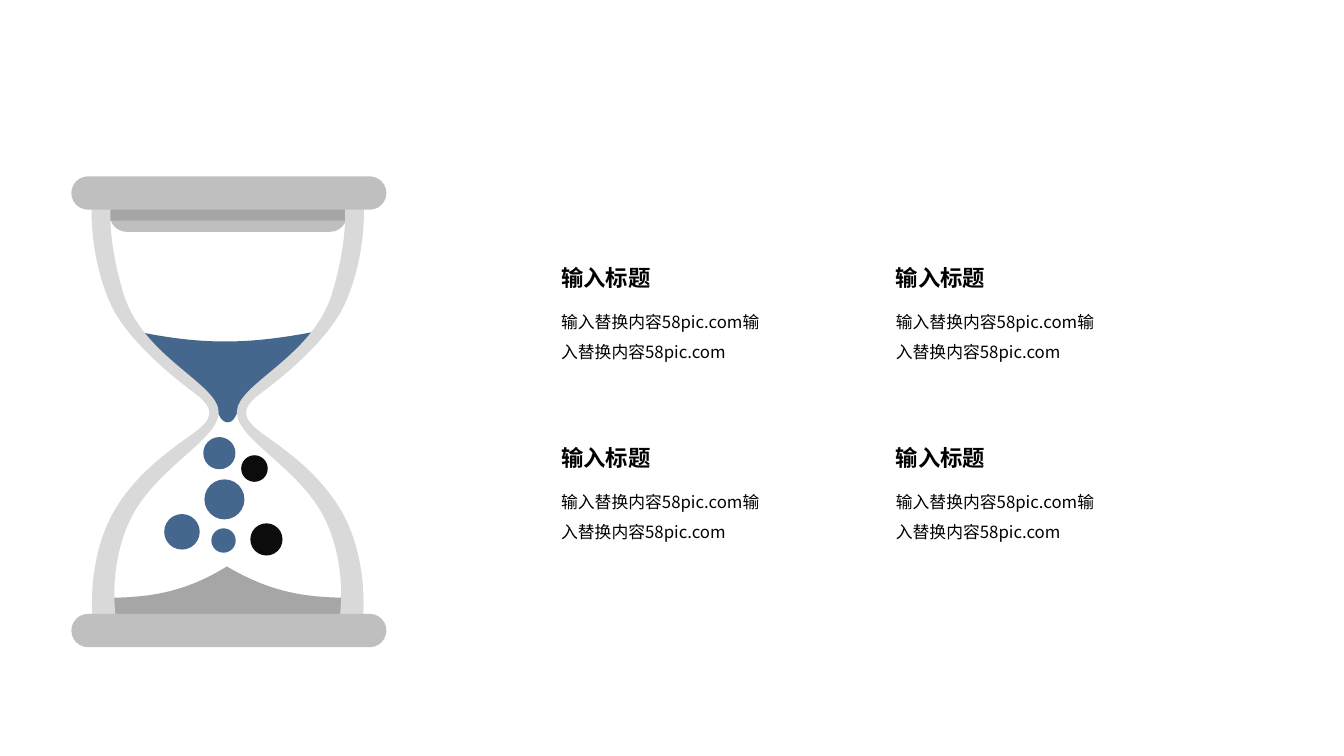
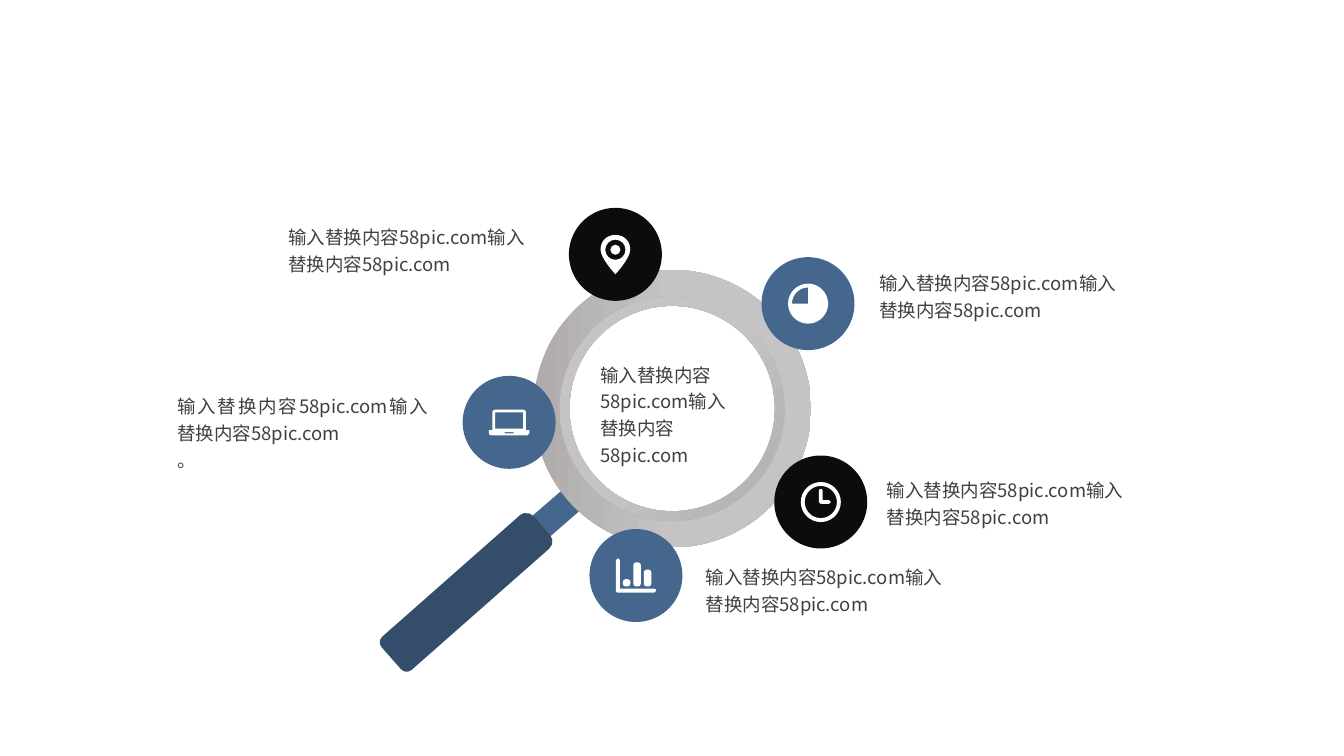
from lxml import etree
from pptx import Presentation
from pptx.dml.color import RGBColor
from pptx.enum import shapes, text
from pptx.oxml.ns import qn
from pptx.util import Pt

BLUE = RGBColor(0x45, 0x67, 0x8D)
NAVY = RGBColor(0x34, 0x4D, 0x6A)
INK = RGBColor(0x0C, 0x0C, 0x0C)
BLACK = RGBColor(0, 0, 0)
WHITE = RGBColor(255, 255, 255)
TEXT = RGBColor(0x40, 0x40, 0x40)
PALE = RGBColor(0xD9, 0xD9, 0xD9)
GREY = RGBColor(0xBF, 0xBF, 0xBF)
DARK = RGBColor(0xA6, 0xA6, 0xA6)
SHADE = RGBColor(0xAF, 0xAB, 0xAB)
LIGHT = RGBColor(0xC5, 0xC3, 0xC3)
FONT = "Noto Sans CJK SC"
BODY = "输入替换内容58pic.com输入替换内容58pic.com"
KIND = shapes.MSO_SHAPE
OVAL, RECT, ROUND = KIND.OVAL, KIND.RECTANGLE, KIND.ROUNDED_RECTANGLE


def add(shape, color, adjs=(), turn=0):
    """Make a shape flat, without an outline."""
    shape.shadow.inherit = False
    shape.line.fill.background()
    shape.fill.solid()
    shape.fill.fore_color.rgb = color
    shape.rotation = turn
    for i, adj in enumerate(adjs):
        shape.adjustments[i] = adj
    return shape


def draw(slide, rings, color, dx=0, dy=0):
    """Draw closed outlines as one shape.

    A ring is a start point, then straight (2 numbers) or cubic (6) steps.
    """
    pen = None
    for ring in rings:
        dots = [(Pt(step[i] + dx), Pt(step[i + 1] + dy))
                for step in ring for i in range(0, len(step), 2)]
        if pen is None:
            pen = slide.shapes.build_freeform(*dots[0])
        else:
            pen.move_to(*dots[0])
        pen.add_line_segments(dots[1:], close=True)
    shape = add(pen.convert_to_shape(), color)
    trail = next(shape._element.iter(qn("a:path")))
    marks = iter(list(trail))
    for ring in rings:
        next(marks)
        for step in ring[1:]:
            mark = next(marks)
            if len(step) == 6:
                curve = etree.Element(qn("a:cubicBezTo"))
                mark.addprevious(curve)
                for knot in (mark, next(marks), next(marks)):
                    curve.append(knot[0])
                    trail.remove(knot)
        next(marks)


deck = Presentation()
deck.slide_width, deck.slide_height = Pt(960), Pt(540)
blank = deck.slide_layouts[6]

# Slide 1: hourglass
glass = deck.slides.add_slide(blank)
pile = [(74.9, 427), (104.4, 427, 131, 424, 162, 404.6),
        (195, 424, 220, 427, 252, 427), (254, 437, 252, 449, 252, 459.4),
        (74.9, 459.4), (74.9, 449, 73.4, 438, 74.9, 427)]
sand = [(100.8, 237.4), (108, 247, 123.8, 260.6, 131.8, 268.6),
        (140.4, 276.5, 145.4, 280, 150.5, 285.8),
        (155.5, 291, 156.2, 301.7, 162.7, 301.7),
        (169.2, 301.7, 169.9, 290.2, 174.2, 283.7),
        (178.6, 277.2, 190.8, 270.7, 199.4, 262),
        (208.8, 253.4, 220.3, 246.2, 224.6, 237),
        (177, 246.2, 144.7, 246.2, 100.8, 237.4)]
left = [(66.2, 139.7), (63.4, 164.2, 69.1, 197.3, 80.6, 220.3),
        (92.9, 244.1, 122.4, 268.6, 139, 280.8),
        (155.5, 293, 150.5, 300.2, 139, 308.9),
        (126.7, 318.2, 97.2, 336.2, 79.9, 367.9),
        (63.4, 399.6, 64.8, 435.6, 67, 450.7),
        (74.9, 450, 75.6, 450, 84.2, 450),
        (84.2, 450.7, 74.9, 411.1, 92.2, 373),
        (109.4, 334.8, 156.2, 314.6, 156.2, 294.5),
        (156.2, 274.3, 103, 255.6, 88.6, 211),
        (74.9, 166.3, 79.2, 140.4, 80.6, 139.7),
        (77.8, 139.7, 71.3, 139.7, 66.2, 139.7)]
right = [tuple(v if i % 2 else 325.4 - v for i, v in enumerate(step))
         for step in left]
draw(glass, [pile], DARK)
draw(glass, [sand], BLUE)
for kind, box, color, adjs in (
        (ROUND, (78.5, 141.8, 169.2, 23.8), GREY, [0.5]),
        (RECT, (74.9, 133.9, 177.1, 23.8), DARK, [])):
    add(glass.shapes.add_shape(kind, *map(Pt, box)), color, adjs)
draw(glass, [left], PALE)
draw(glass, [right], PALE)
for y in (126, 438.5):
    add(glass.shapes.add_shape(ROUND, *map(Pt, (51, y, 225, 23.8))), GREY,
        [0.5])
for x, y, size, color in (
        (145.2, 312.2, 23, BLUE), (146, 342.4, 28.6, BLUE),
        (117.3, 367.2, 25.4, BLUE), (151, 377.4, 17.4, BLUE),
        (172.3, 325.2, 19, INK), (178.8, 373.8, 23, INK)):
    add(glass.shapes.add_shape(OVAL, *map(Pt, (x, y, size, size))), color)

# Slide 2: magnifier with five icons
lens = deck.slides.add_slide(blank)
rod = [(288.7, 468), (287.3, 467.3, 285.8, 466.6, 284.4, 464.4),
       (280.8, 460.8, 281.5, 454.3, 285.1, 450.7), (401.8, 349.9),
       (406.1, 346.3, 411.8, 346.3, 415.4, 350.6),
       (419, 355, 418.3, 360.7, 414.7, 364.3), (298.1, 465.8),
       (295.2, 468, 291.6, 468.7, 288.7, 468)]
draw(lens, [rod], BLUE)
add(lens.shapes.add_shape(KIND.ROUND_2_SAME_RECTANGLE,
                          *map(Pt, (317.4, 351.1, 31.7, 143.3))),
    NAVY, [0.167, 0.22], 228.6)
for x, y, size, thick, angle in ((394.4, 206.1, 171.4, 0.072, 140),
                                 (381.1, 192.8, 198.2, 0.093, 0)):
    ring = add(lens.shapes.add_shape(KIND.DONUT,
                                     *map(Pt, (x, y, size, size))),
               LIGHT, [thick])
    ring.fill.gradient()
    ring.fill.gradient_angle = angle
    for stop, color, place in zip(ring.fill.gradient_stops,
                                  (SHADE, LIGHT), (0, 0.5)):
        stop.color.rgb = color
        stop.position = place

# Icon parts lie around the disc centre: a list is an outline,
# a tuple is a rounded box (left, top, width, height, radius)
axis = [(13, 12.2), (-13, 12.2), (-13.8, 12.2, -14.4, 11.6, -14.4, 10.8),
        (-14.4, -10.8), (-14.4, -11.6, -13.8, -12.2, -13, -12.2),
        (-12.2, -12.2, -11.5, -11.6, -11.5, -10.8), (-11.5, 9.4), (13, 9.4),
        (13.8, 9.4, 14.4, 10, 14.4, 10.8),
        (14.4, 11.6, 13.8, 12.2, 13, 12.2)]
bars = [axis] + [(-9.4 + 7.5 * i, 7.8 - h, 5.4, h, 2)
                 for i, h in enumerate((5.2, 17.2, 12))]
wedge = [(-11.5, 0), (0, 0), (0, -11.5),
         (-6.4, -11.5, -11.5, -6.4, -11.5, 0)]
face = (-14.3, -14.3, 28.6, 28.6, 14.3)
hands = [(5.8, 1.4), (0, 1.4), (-0.8, 1.4, -1.4, 0.8, -1.4, 0), (-1.4, -8),
         (-1.4, -8.8, -0.8, -9.4, 0, -9.4),
         (0.8, -9.4, 1.4, -8.8, 1.4, -8), (1.4, -1.4), (5.8, -1.4),
         (6.6, -1.4, 7.2, -0.8, 7.2, 0), (7.2, 0.8, 6.6, 1.4, 5.8, 1.4)]
clock = [face, (-11.5, -11.5, 23, 23, 11.5), hands]
drop = [(0, 14.2), (0, 14.2, -10.6, 2.9, -10.6, -3.4),
        (-10.6, -9.6, -6.2, -13.9, 0, -13.9),
        (6.2, -13.9, 10.6, -9.6, 10.6, -3.4), (10.6, 2.9, 0, 14.2, 0, 14.2)]
pin = [drop, (-7.2, -10.5, 14.4, 14.4, 7.2), (-3.6, -6.9, 7.2, 7.2, 3.6)]
case = [(-13, 9.2), (-13.8, 9.2, -14.4, 8.6, -14.4, 7.8), (-14.4, 5.6),
        (-11.9, 5.6), (-11.9, -7.9), (-11.9, -8.6, -11.3, -9.2, -10.6, -9.2),
        (10.6, -9.2), (11.3, -9.2, 11.9, -8.6, 11.9, -7.9), (11.9, 5.6),
        (14.4, 5.6), (14.4, 7.8), (14.4, 8.6, 13.8, 9.2, 13, 9.2)]
laptop = [case, (-10, -7.2, 20, 11.6, 0), (-3.2, 7, 6.4, 0.8, 0)]
DISC = 66.4
for x, y, color, parts in (
        (454.3, 411.1, BLUE, bars), (577.2, 216.9, BLUE, [face, wedge]),
        (586.3, 358.6, INK, clock), (439.6, 181.7, INK, pin),
        (363.7, 301.7, BLUE, laptop)):
    box = (x - DISC / 2, y - DISC / 2, DISC, DISC)
    add(lens.shapes.add_shape(OVAL, *map(Pt, box)), color, turn=338.3)
    rings = []
    for part in parts:
        if isinstance(part, tuple):
            l, t, w, h, r = part
            r_in, b, c = l + w, t + h, r * 0.45
            part = [(l + r, t), (r_in - r, t),
                    (r_in - c, t, r_in, t + c, r_in, t + r), (r_in, b - r),
                    (r_in, b - c, r_in - c, b, r_in - r, b), (l + r, b),
                    (l + c, b, l, b - c, l, b - r), (l, t + r),
                    (l, t + c, l + c, t, l + r, t)]
            if r == 0:
                part = [(l, t), (r_in, t), (r_in, b), (l, b)]
        rings.append(part)
    draw(lens, rings, WHITE, x, y)

# Text of both slides: slide, box, words, size, colour, line spacing
notes = []
for y in (185, 313.5):
    for x in (393.8, 632.9):
        notes += [(glass, (x, y + 26.8, 158.4, 48.3), BODY, 12, BLACK, 1.5),
                  (glass, (x, y, 85.7, 26.7), "输入标题", 16, BLACK, 1)]
for box in ((126.7, 279.2, 179.3, 57.6), (428.8, 256.5, 100.8, 75.6),
            (206, 158.4, 179.3, 36.7), (628.2, 191, 174.2, 36.7),
            (633.4, 339.1, 174.2, 36.7), (504, 401.2, 174.2, 36.7)):
    words = BODY if box[0] > 200 else BODY + "\n。"
    notes.append((lens, box, words, 13.25, TEXT, 1.2))
for slide, box, words, size, color, space in notes:
    frame = slide.shapes.add_textbox(*map(Pt, box)).text_frame
    frame.word_wrap = True
    frame.auto_size = text.MSO_AUTO_SIZE.SHAPE_TO_FIT_TEXT
    if slide is lens:
        frame.margin_left = frame.margin_right = 0
        frame.margin_top = frame.margin_bottom = 0
    frame.text = words
    for para in frame.paragraphs:
        para.line_spacing = space
        if "\n" in words:
            para.alignment = text.PP_ALIGN.JUSTIFY
        run = para.runs[0]
        run.font.size = Pt(size)
        run.font.color.rgb = color
        run.font.name = "Arial" if run.text == "。" else FONT
        if size == 16:
            run.font.bold = True
        east = etree.SubElement(run.font._element, qn("a:ea"))
        east.set("typeface", FONT)

deck.save("out.pptx")
